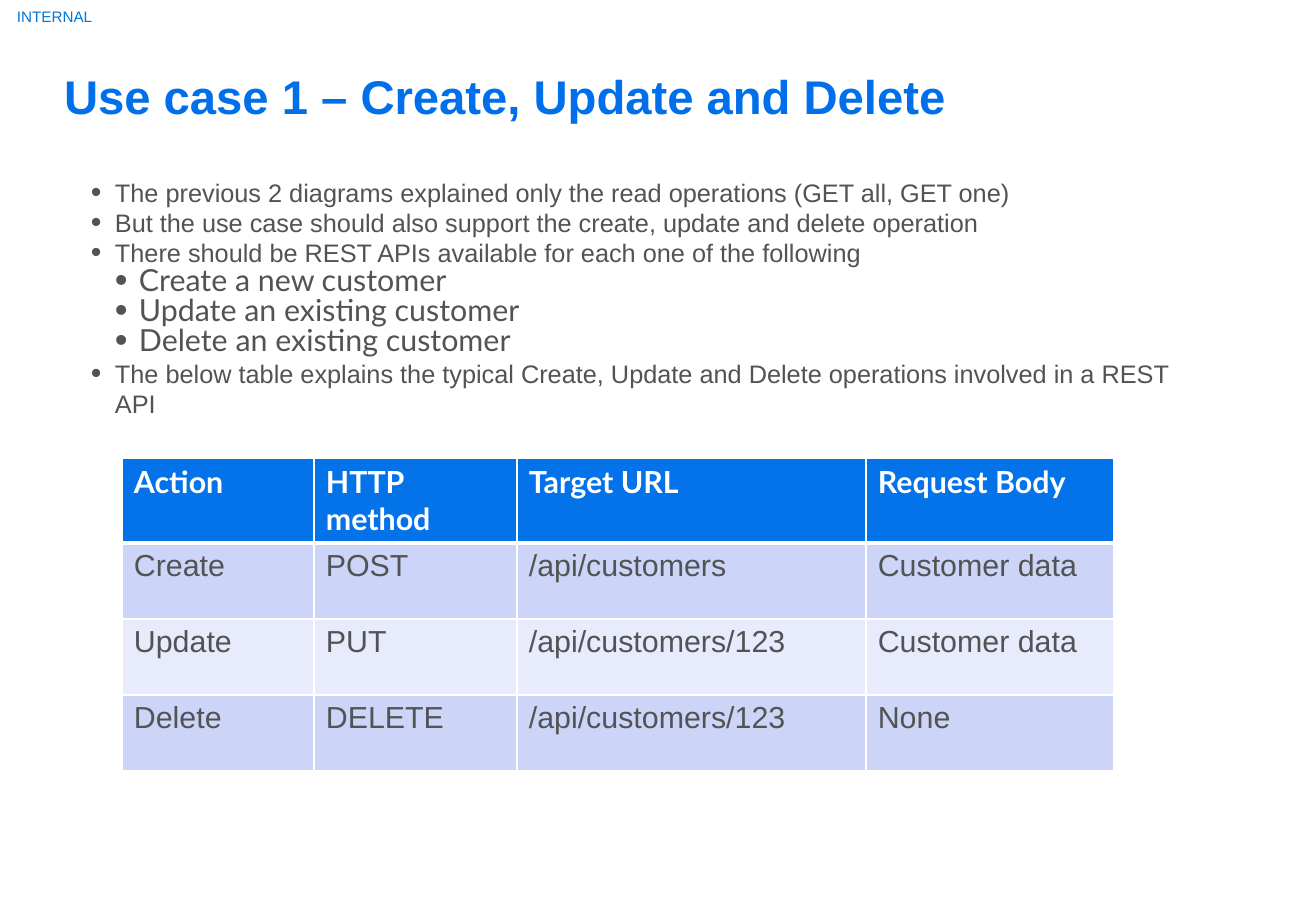
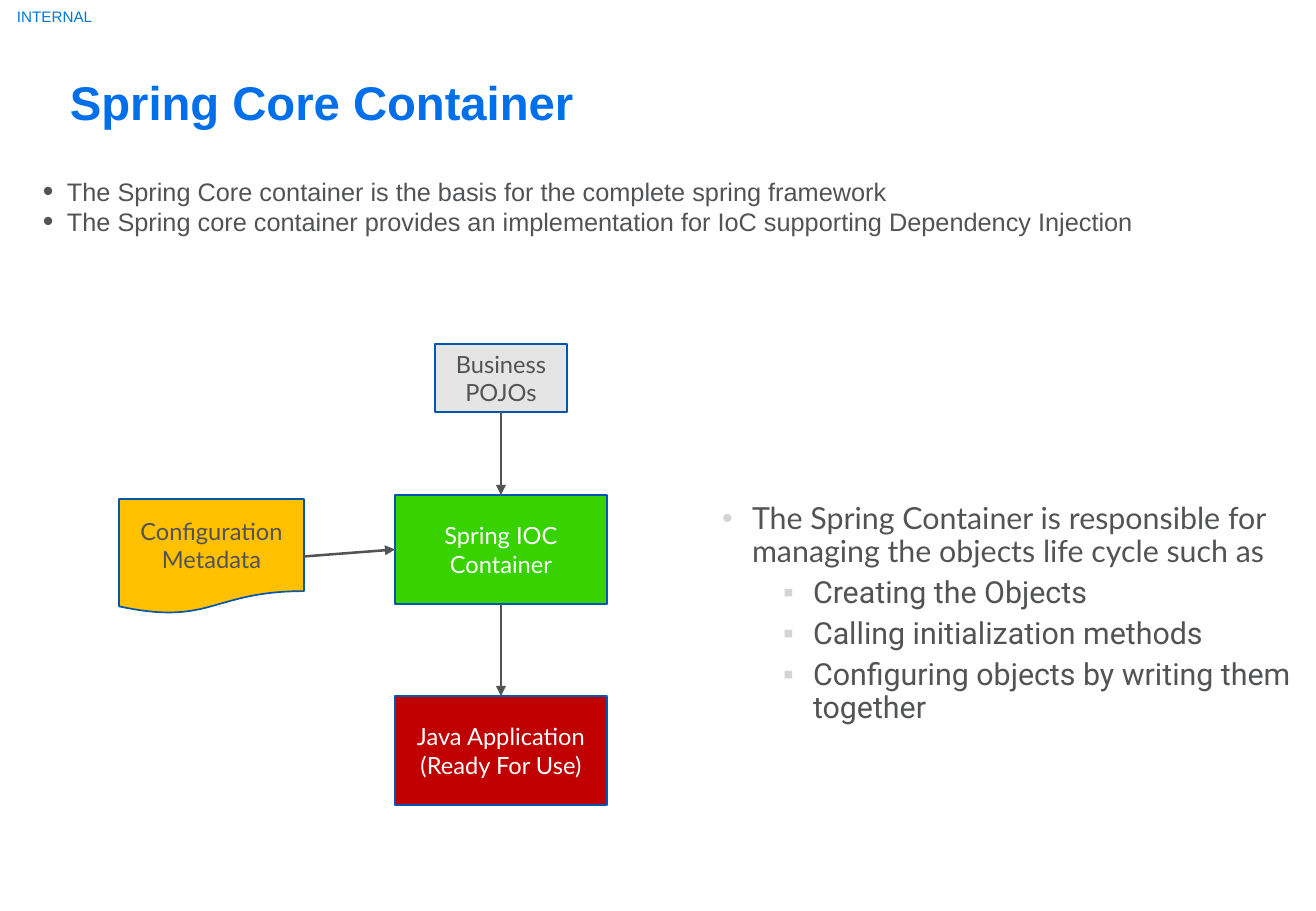
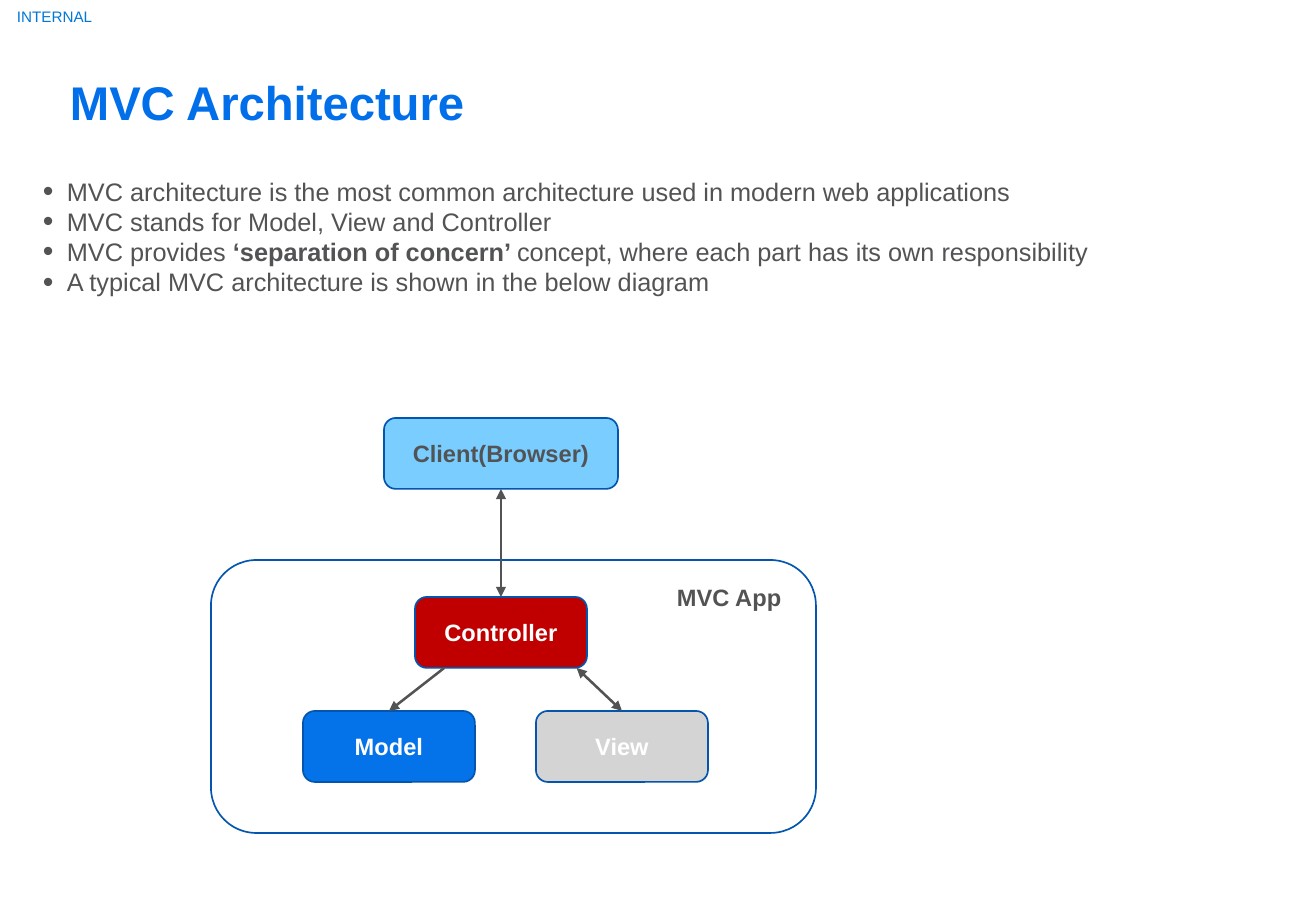
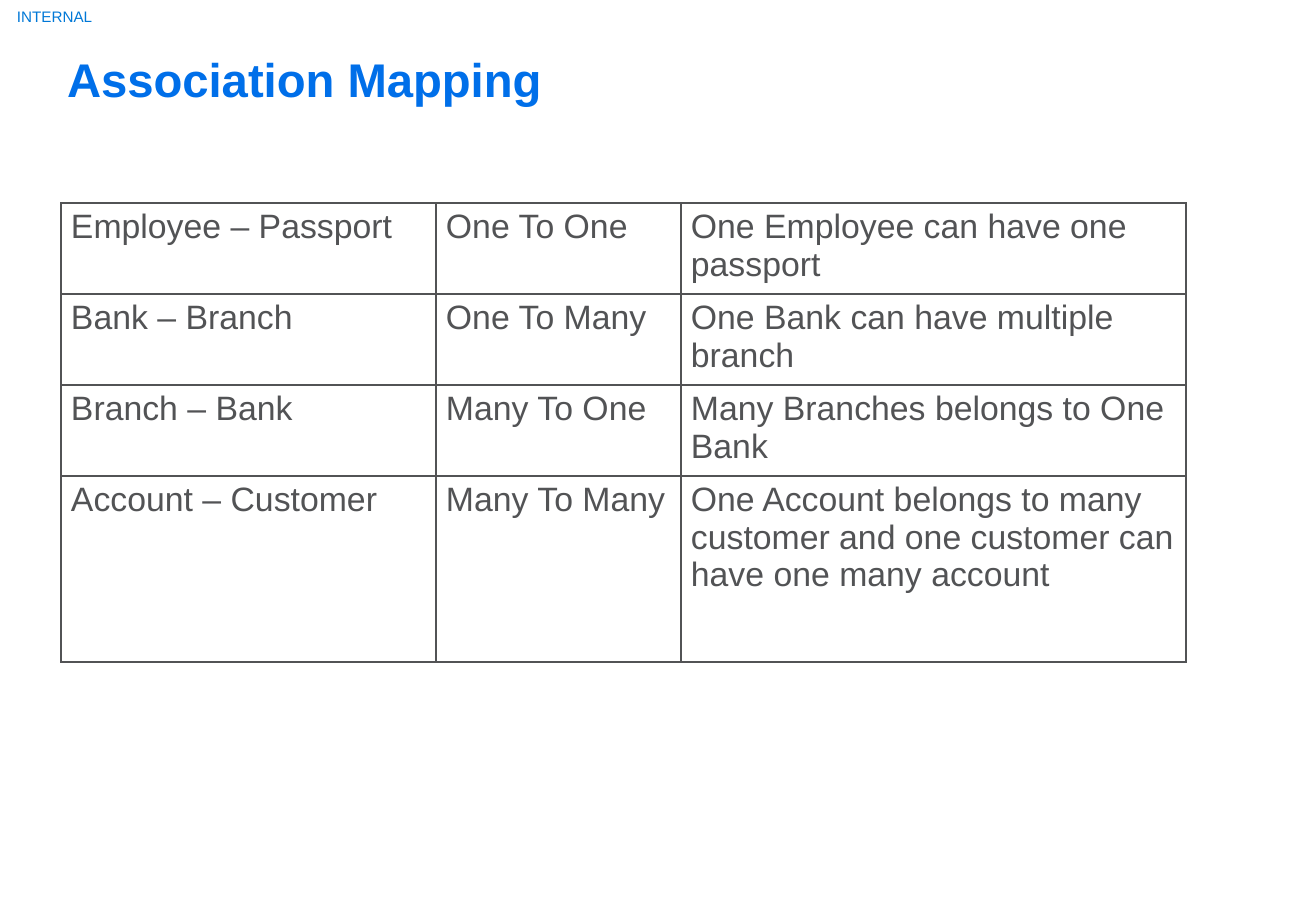
from lxml import etree
from pptx import Presentation
from pptx import util as u
from pptx.dml.color import RGBColor
from pptx.enum import shapes, text
from pptx.oxml.ns import qn

# Shared style
PX = 914400 / 121.5
SLIDE_SIZE = (1316, 911)
BLUE, GREY, WHITE, SILVER = "0473EA", "525355", "FFFFFF", "D4D4D4"
TITLE_BLUE, LABEL_BLUE, OUTLINE = "006FE9", "0078D7", "0355AD"
RED, GREEN, AMBER, SKY, PALE = "C00000", "38D200", "FFC000", "79CDFF", "E5E5E5"
HEAD_BAND, BANDS = BLUE, ("CCD5F7", "E7EBFB")
ARIAL, LATO, ROBOTO = "Arial", "Lato", "Roboto"
RECT = shapes.MSO_SHAPE.RECTANGLE
ROUND = shapes.MSO_SHAPE.ROUNDED_RECTANGLE
DOCUMENT = shapes.MSO_SHAPE.FLOWCHART_DOCUMENT

# Bullet levels: indents and bullet size in px and percent, spacing in points
TOP = dict(left=24, hang=24, mark="•", scale=120, line=u.Pt(17.9), size=15, font=ARIAL)
SUB = dict(TOP, left=48, size=18, font=LATO)
DUTY = dict(left=30, hang=30, mark="•", mark_color=SILVER, line=0.9, size=18, font=LATO)
STEP = dict(DUTY, left=91, mark="▪", before=5, font=ROBOTO)

# Slide 1 content
CRUD_TITLE = ("Use case 1 – Create, Update and Delete", (64, 86))
CRUD_POINTS = [
    (TOP, "The previous 2 diagrams explained only the read operations (GET all, GET one)"),
    (TOP, "But the use case should also support the create, update and delete operation"),
    (TOP, "There should be REST APIs available for each one of the following"),
    (SUB, "Create a new customer"),
    (SUB, "Update an existing customer"),
    (SUB, "Delete an existing customer"),
    (TOP, "The below table explains the typical Create, Update and Delete operations "
          "involved in a REST API"),
]
CRUD_ROWS = [
    ("Action", "HTTP method", "Target URL", "Request Body"),
    ("Create", "POST", "/api/customers", "Customer data"),
    ("Update", "PUT", "/api/customers/123", "Customer data"),
    ("Delete", "DELETE", "/api/customers/123", "None"),
]

# Slide 2 content
CORE_TITLE = ("Spring Core Container", (70, 92))
CORE_POINTS = [
    (TOP, "The Spring Core container is the basis for the complete spring framework"),
    (TOP, "The Spring core container provides an implementation for IoC supporting "
          "Dependency Injection"),
]
CORE_DUTIES = [
    (DUTY, "The Spring Container is responsible for managing the objects life cycle such as"),
    (STEP, "Creating the Objects"),
    (STEP, "Calling initialization methods"),
    (STEP, "Configuring objects by writing them together"),
]
# name: (outline, box, fill, text colour, text)
CORE_BOXES = {
    "ioc": (RECT, (395, 495, 212, 109), GREEN, WHITE, "Spring IOC Container"),
    "app": (RECT, (395, 696, 212, 109), RED, WHITE, "Java Application (Ready For Use)"),
    "pojos": (RECT, (435, 344, 132, 68), PALE, GREY, "Business POJOs"),
    "config": (DOCUMENT, (119, 499, 185, 115), AMBER, GREY, "Configuration Metadata"),
}
# (box, place on it as fractions) at each end, then whether both ends have heads
UPPER, LOWER, LEFT, RIGHT = (0.5, 0), (0.5, 1), (0, 0.5), (1, 0.5)
SITES = {UPPER: 0, LEFT: 1, LOWER: 2, RIGHT: 3}
CORE_ARROWS = [
    ("config", RIGHT, "ioc", LEFT, False),
    ("pojos", LOWER, "ioc", UPPER, False),
    ("ioc", LOWER, "app", UPPER, False),
]

# Slide 3 content
MVC_TITLE = ("MVC Architecture", (70, 92))
MVC_POINTS = [
    (TOP, "MVC architecture is the most common architecture used in modern web applications"),
    (TOP, "MVC stands for Model, View and Controller"),
    (TOP, "MVC provides ", "‘separation of concern’ ",
     "concept, where each part has its own responsibility"),
    (TOP, "A typical MVC architecture is shown in the below diagram"),
]
MVC_BOXES = {
    "client": (ROUND, (384, 418, 234, 71), SKY, GREY, "Client(Browser)"),
    "controller": (ROUND, (415, 597, 172, 71), RED, WHITE, "Controller"),
    "view": (ROUND, (536, 711, 172, 71), SILVER, WHITE, "View"),
    "model": (ROUND, (303, 711, 172, 71), BLUE, WHITE, "Model"),
    "mvc app": (ROUND, (211, 560, 605, 273), None, GREY, ""),
}
MVC_ARROWS = [
    ("client", LOWER, "controller", UPPER, True),
    ("controller", (0.94, 1), "view", UPPER, True),
    ("controller", (0.17, 1), "model", UPPER, False),
]

# Slide 4 content
MAPPING_TITLE = ("Association Mapping", (67, 69))
MAPPING_ROWS = [
    ("Employee – Passport", "One To One", "One Employee can have one passport"),
    ("Bank – Branch", "One To Many", "One Bank can have multiple branch"),
    ("Branch – Bank", "Many To One", "Many Branches belongs to One Bank"),
    ("Account – Customer", "Many To Many",
     "One Account belongs to many customer and one customer can have one many account"),
]


def px(*lengths):
    return [u.Emu(round(n * PX)) for n in lengths]


def rgb(color):
    return RGBColor.from_string(color)


def child(parent, tag, **attributes):
    return etree.SubElement(parent, qn(tag), **attributes)


def add_run(paragraph, words, size, font, color, bold=False):
    run = paragraph.add_run()
    run.text = words
    run.font.size, run.font.name, run.font.bold = u.Pt(size), font, bold
    run.font.color.rgb = rgb(color)


def text_frame(slide, box, inset=True):
    frame = slide.shapes.add_textbox(*px(*box)).text_frame
    frame.word_wrap = True
    if not inset:
        frame.margin_left = frame.margin_right = 0
        frame.margin_top = frame.margin_bottom = 0
    return frame


def new_slide(deck, title, corner):
    slide = deck.slides.add_slide(deck.slide_layouts[6])
    label = text_frame(slide, (0, 0, 109, 32), inset=False)
    label.vertical_anchor = text.MSO_ANCHOR.MIDDLE
    label.paragraphs[0].alignment = text.PP_ALIGN.CENTER
    add_run(label.paragraphs[0], "INTERNAL", 9, ARIAL, LABEL_BLUE)
    heading = text_frame(slide, (*corner, 1057, 80), inset=False).paragraphs[0]
    heading.line_spacing = u.Pt(22.8)
    add_run(heading, title, 28, ARIAL, TITLE_BLUE, True)
    return slide


def add_bullets(slide, box, points):
    frame = text_frame(slide, box, inset=False)
    for i, (level, *parts) in enumerate(points):
        paragraph = frame.add_paragraph() if i else frame.paragraphs[0]
        paragraph.line_spacing = level["line"]
        paragraph.space_before = u.Pt(level.get("before", 0))
        properties = paragraph._p.get_or_add_pPr()
        left, hang = px(level["left"], level["hang"])
        properties.set("marL", str(left))
        properties.set("indent", str(-hang))
        if "mark_color" in level:
            child(child(properties, "a:buClr"), "a:srgbClr", val=level["mark_color"])
        child(properties, "a:buSzPct", val=str(level.get("scale", 100) * 1000))
        child(properties, "a:buFont", typeface=ARIAL)
        child(properties, "a:buChar", char=level["mark"])
        # Every second part of a point is emphasised
        for n, words in enumerate(parts):
            add_run(paragraph, words, level["size"], level["font"], GREY, n % 2 == 1)


def add_boxes(slide, boxes, font, bold):
    drawn = {}
    for name, (outline, box, fill, color, words) in boxes.items():
        shape = drawn[name] = slide.shapes.add_shape(outline, *px(*box))
        shape.shadow.inherit = False
        shape.line.color.rgb, shape.line.width = rgb(OUTLINE), u.Pt(1)
        if fill:
            shape.fill.solid()
            shape.fill.fore_color.rgb = rgb(fill)
        else:
            shape.fill.background()
        if words:
            paragraph = shape.text_frame.paragraphs[0]
            paragraph.alignment = text.PP_ALIGN.CENTER
            add_run(paragraph, words, 14, font, color, bold)
    return drawn


def add_arrows(slide, drawn, arrows):
    def place(shape, spot):
        return (round(shape.left + spot[0] * shape.width),
                round(shape.top + spot[1] * shape.height))

    for start, leave, end, reach, both in arrows:
        source, target = drawn[start], drawn[end]
        arrow = slide.shapes.add_connector(
            shapes.MSO_CONNECTOR.STRAIGHT, *place(source, leave), *place(target, reach))
        if leave in SITES:
            arrow.begin_connect(source, SITES[leave])
        arrow.end_connect(target, SITES[reach])
        arrow.line.color.rgb, arrow.line.width = rgb(GREY), u.Pt(1.5)
        line = arrow.line._get_or_add_ln()
        if both:
            child(line, "a:headEnd", type="triangle")
        child(line, "a:tailEnd", type="triangle")
        child(arrow._element.spPr, "a:effectLst")


def add_grid(slide, corner, widths, heights, rows, style):
    """style(row) gives fill, bottom line width and the run settings."""
    box = (*corner, sum(widths), sum(heights))
    table = slide.shapes.add_table(len(rows), len(widths), *px(*box)).table
    table.first_row = table.horz_banding = False
    for column, width in zip(table.columns, px(*widths)):
        column.width = width
    for row, height in zip(table.rows, px(*heights)):
        row.height = height
    for r, row in enumerate(rows):
        fill, edge, inset, lettering = style(r)
        top_width = style(r - 1)[1][1] if r else 1
        for c, words in enumerate(row):
            cell = table.cell(r, c)
            cell.margin_left = cell.margin_right = px(inset[0])[0]
            cell.margin_top = cell.margin_bottom = px(inset[1])[0]
            properties = cell._tc.get_or_add_tcPr()
            for side, width in zip("LRTB", (1, 1, top_width, edge[1])):
                line = child(properties, f"a:ln{side}", w=str(u.Pt(width)))
                child(child(line, "a:solidFill"), "a:srgbClr", val=edge[0])
            if fill:
                cell.fill.solid()
                cell.fill.fore_color.rgb = rgb(fill)
            else:
                cell.fill.background()
            add_run(cell.text_frame.paragraphs[0], words, *lettering)


def crud_style(row):
    if row == 0:
        return HEAD_BAND, (WHITE, 3), (12, 6), (18, LATO, WHITE, True)
    return BANDS[(row - 1) % 2], (WHITE, 1), (12, 6), (18, ARIAL, GREY)


def mapping_style(row):
    return None, (GREY, 1), (10, 5), (20, ARIAL, GREY)


def main():
    deck = Presentation()
    deck.slide_width, deck.slide_height = px(*SLIDE_SIZE)

    # Create, update and delete
    slide = new_slide(deck, *CRUD_TITLE)
    add_bullets(slide, (91, 177, 1080, 583), CRUD_POINTS)
    add_grid(slide, (122, 458), (192, 203, 349, 248), (84, 76, 76, 76), CRUD_ROWS, crud_style)

    # Core container
    slide = new_slide(deck, *CORE_TITLE)
    add_bullets(slide, (43, 176, 1231, 685), CORE_POINTS)
    add_bullets(slide, (722, 503, 582, 346), CORE_DUTIES)
    add_arrows(slide, add_boxes(slide, CORE_BOXES, LATO, False), CORE_ARROWS)

    # MVC
    slide = new_slide(deck, *MVC_TITLE)
    add_bullets(slide, (43, 176, 1231, 695), MVC_POINTS)
    add_arrows(slide, add_boxes(slide, MVC_BOXES, ARIAL, True), MVC_ARROWS)
    caption = text_frame(slide, (665, 577, 160, 41))
    add_run(caption.paragraphs[0], "MVC App", 14, ARIAL, GREY, True)

    # Association mapping
    slide = new_slide(deck, *MAPPING_TITLE)
    add_grid(slide, (61, 203), (375, 245, 505), (85, 85, 85, 186), MAPPING_ROWS, mapping_style)

    deck.save("out.pptx")


if __name__ == "__main__":
    main()
